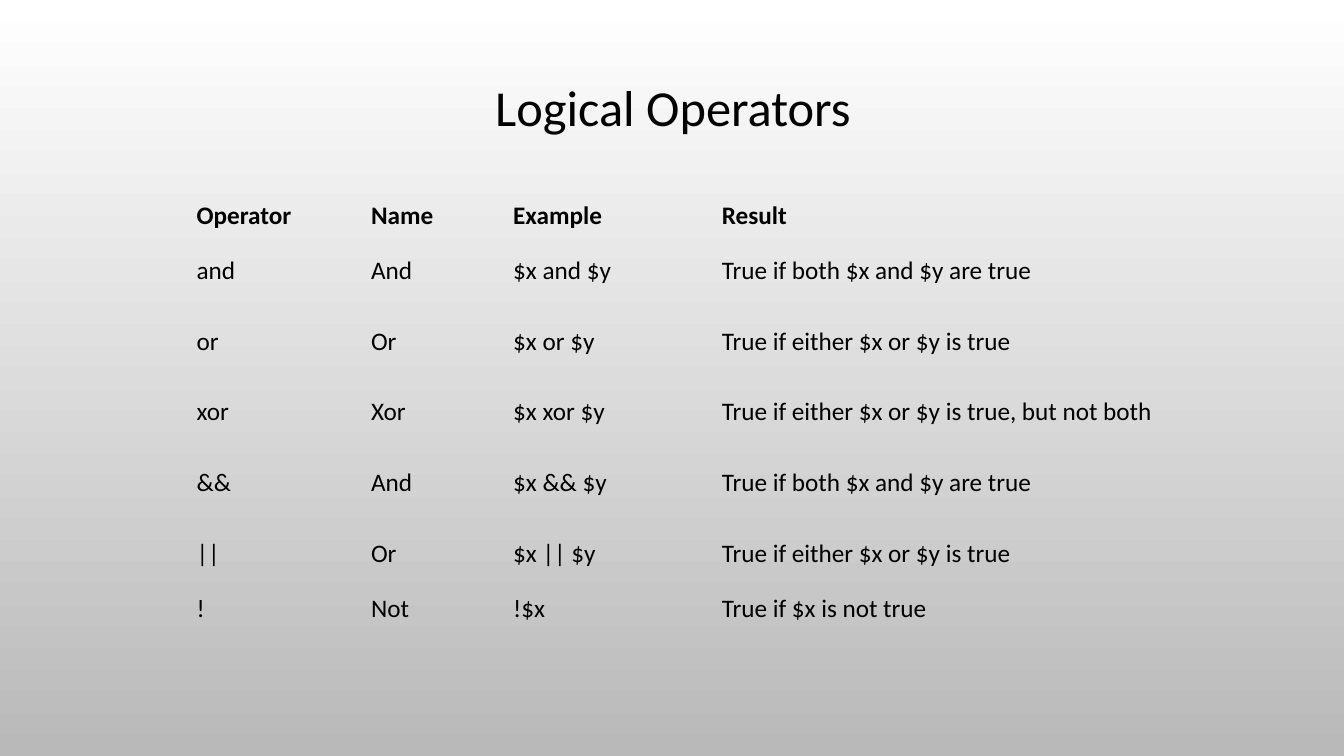
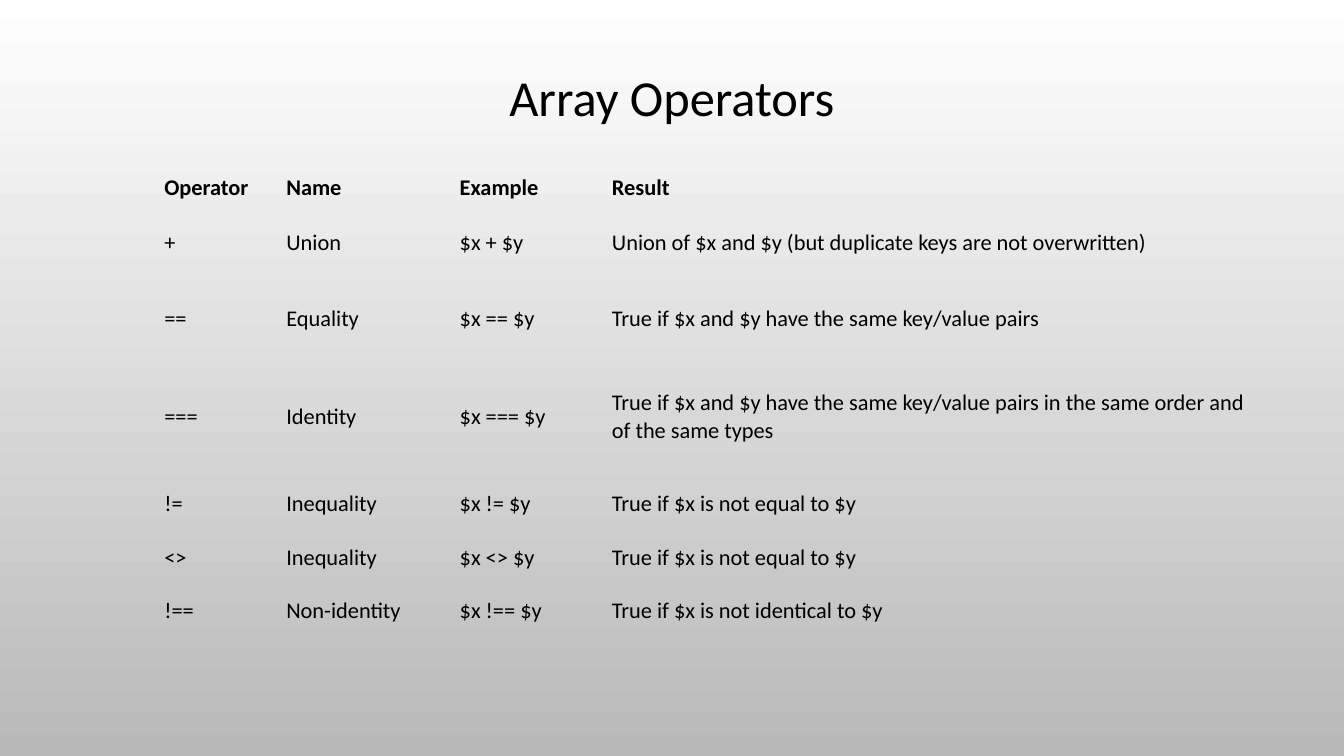
from pptx import Presentation
from pptx.dml.color import RGBColor
from pptx.enum.text import MSO_ANCHOR as ANCHOR, PP_ALIGN as ALIGN
from pptx.oxml.ns import qn
from pptx.util import Inches, Pt

# Shared style
COLORS = {"text": "000000", "top": "FFFFFF", "bottom": "B9B9B9"}
FONT = "Calibri"
TITLE_SIZE = 36
NO_STYLE_NO_GRID = "{2D5ABB26-0587-4C30-8999-92F81FD0307C}"

# Content
HEADER = ("Operator", "Name", "Example", "Result")
SLIDES = [
    {
        "title": "Logical Operators",
        "title_box": (2.2, 0.71, 8.95, 0.77),
        "table_at": (1.85, 1.94),
        "cols": (1.73, 1.41, 2.07, 4.89),
        "heights": (0.4, 0.7, 0.7, 0.7, 0.7, 0.7, 0.4),
        "size": 18,
        "margins": (0.1, 0.05),
        "rows": [
            ("and", "And", "$x and $y", "True if both $x and $y are true"),
            ("or", "Or", "$x or $y", "True if either $x or $y is true"),
            ("xor", "Xor", "$x xor $y", "True if either $x or $y is true, but not both"),
            ("&&", "And", "$x && $y", "True if both $x and $y are true"),
            ("||", "Or", "$x || $y", "True if either $x or $y is true"),
            ("!", "Not", "!$x", "True if $x is not true"),
        ],
    },
    {
        "title": "Array Operators",
        "title_box": (1, 0.3, 11.33, 1.39),
        "table_at": (1.55, 1.69),
        "cols": (1.21, 1.72, 1.51, 6.46),
        "heights": (0.3, 0.75, 0.75, 1.2, 0.53, 0.53, 0.53),
        "size": 16,
        "margins": (0.08, 0.04),
        "rows": [
            ("+", "Union", "$x + $y",
             "Union of $x and $y (but duplicate keys are not overwritten)"),
            ("==", "Equality", "$x == $y",
             "True if $x and $y have the same key/value pairs"),
            ("===", "Identity", "$x === $y",
             "True if $x and $y have the same key/value pairs in the same order "
             "and of the same types"),
            ("!=", "Inequality", "$x != $y", "True if $x is not equal to $y"),
            ("<>", "Inequality", "$x <> $y", "True if $x is not equal to $y"),
            ("!==", "Non-identity", "$x !== $y", "True if $x is not identical to $y"),
        ],
    },
]


def rgb(name):
    return RGBColor.from_string(COLORS[name])


def set_background(master):
    fill = master.background.fill
    fill.gradient()
    fill.gradient_angle = 270  # counter-clockwise, so top to bottom
    for stop, name in zip(fill.gradient_stops, ("top", "bottom")):
        stop.color.rgb = rgb(name)


def write(tf, text, size, bold=False):
    p = tf.paragraphs[0]
    p.text = text
    font = p.runs[0].font
    font.name, font.size, font.bold = FONT, Pt(size), bold
    font.color.rgb = rgb("text")
    return p


def add_title(s, text, box):
    tf = s.shapes.add_textbox(*map(Inches, box)).text_frame
    tf.word_wrap = True
    tf.vertical_anchor = ANCHOR.MIDDLE
    p = write(tf, text, TITLE_SIZE)
    p.alignment = ALIGN.CENTER
    p.line_spacing = 0.9


def add_operator_table(s, data):
    rows = [HEADER] + data["rows"]
    cols, heights = data["cols"], data["heights"]
    size = (sum(cols), sum(heights))
    frame = s.shapes.add_table(len(rows), len(cols),
                               *map(Inches, data["table_at"] + size))
    for style in frame.element.iter(qn("a:tableStyleId")):
        style.text = NO_STYLE_NO_GRID
    table = frame.table
    table.horz_banding = False

    for col, width in zip(table.columns, cols):
        col.width = Inches(width)
    for row, height in zip(table.rows, heights):
        row.height = Inches(height)

    side, edge = map(Inches, data["margins"])
    for i, texts in enumerate(rows):
        for j, text in enumerate(texts):
            cell = table.cell(i, j)
            cell.fill.background()
            cell.vertical_anchor = ANCHOR.MIDDLE
            cell.margin_left = cell.margin_right = side
            cell.margin_top = cell.margin_bottom = edge
            write(cell.text_frame, text, data["size"], bold=i == 0)


def main():
    prs = Presentation()
    prs.slide_width, prs.slide_height = Inches(13.33), Inches(7.5)
    set_background(prs.slide_master)
    for data in SLIDES:
        s = prs.slides.add_slide(prs.slide_layouts[6])
        add_title(s, data["title"], data["title_box"])
        add_operator_table(s, data)
    prs.save("out.pptx")


if __name__ == "__main__":
    main()
